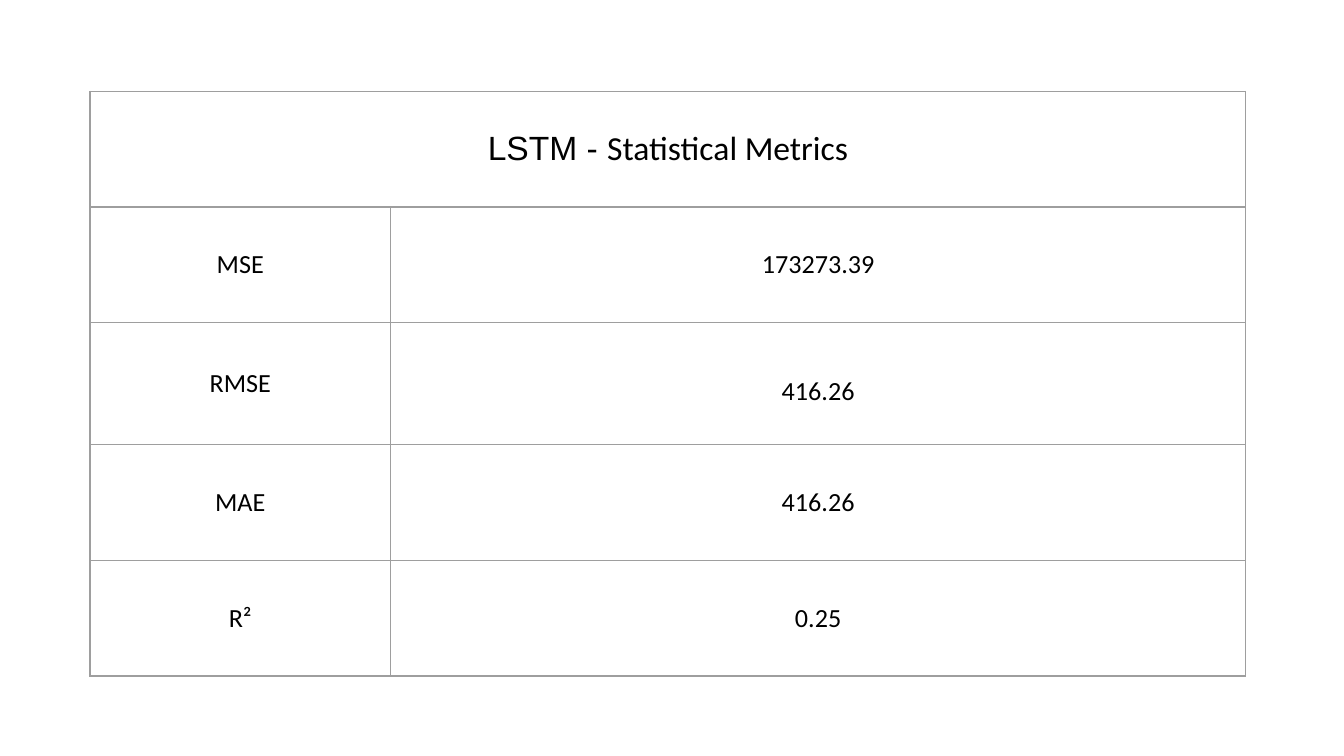
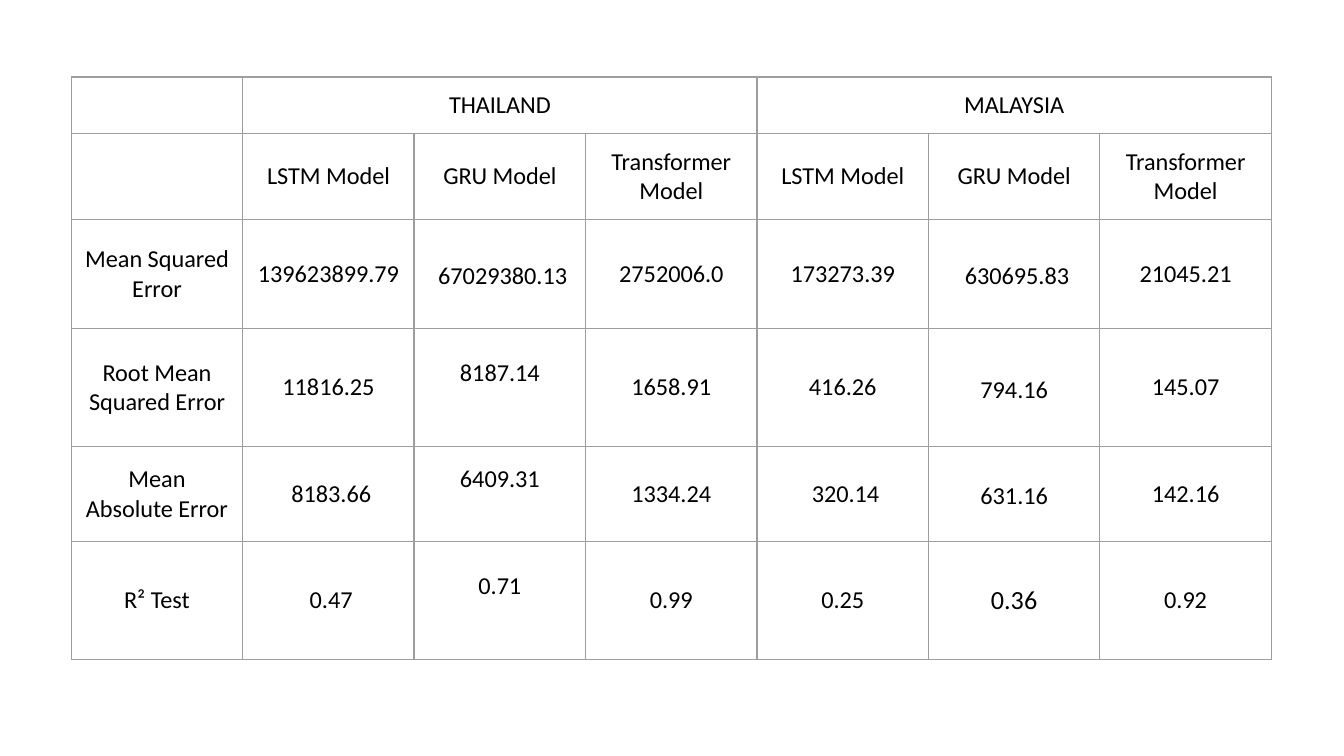
from dataclasses import dataclass

from lxml.etree import SubElement
from pptx import Presentation
from pptx.dml.color import RGBColor
from pptx.enum.text import MSO_ANCHOR as Anchor, PP_ALIGN as Align
from pptx.oxml.ns import qn
from pptx.util import Inches, Pt

COLORS = {"text": "000000", "border": "9E9E9E"}
SLIDE_WIDTH, SLIDE_HEIGHT = Inches(10), Inches(5.625)
BORDER_POINTS = 0.75
PADDING = 0.1


@dataclass(frozen=True)
class Phrase:
    """A run of text; size 0 takes the size of its table."""

    text: str
    size: float = 0
    font: str = "Calibri"


@dataclass(frozen=True)
class Entry:
    """The content and layout of one table cell."""

    phrases: tuple[Phrase, ...] = ()
    span: int = 1
    line_spacing: float | None = None
    space_after: float | None = None
    raised: float = 0


@dataclass(frozen=True)
class MetricsTable:
    """A table placed by shares of the slide, with row heights in inches."""

    left: float
    top: float
    width: float
    height: float
    column_shares: tuple[float, ...]
    row_heights: tuple[float, ...]
    size: float
    vertical_padding: float
    rows: tuple[tuple[Entry, ...], ...]


def entry(text: str, **layout) -> Entry:
    """Make an entry that holds a single phrase."""
    return Entry((Phrase(text),), **layout)


def loose(text: str, **layout) -> Entry:
    """Make an entry with slightly open line spacing."""
    return entry(text, line_spacing=1.15, **layout)


def raised(text: str) -> Entry:
    """Make an open entry that sits above the middle of its cell."""
    return loose(text, raised=0.25)


def plain_row(*texts: str) -> tuple[Entry, ...]:
    """Make a row of plain entries."""
    return tuple(entry(text) for text in texts)


def draw_borders(cell) -> None:
    """Rule all four sides of a cell."""
    properties = cell._tc.get_or_add_tcPr()
    for side in ("lnL", "lnR", "lnT", "lnB"):
        line = SubElement(properties, qn(f"a:{side}"), w=str(Pt(BORDER_POINTS)))
        fill = SubElement(line, qn("a:solidFill"))
        SubElement(fill, qn("a:srgbClr"), val=COLORS["border"])
        SubElement(line, qn("a:prstDash"), val="solid")


def write_entry(cell, content: Entry, layout: MetricsTable) -> None:
    """Write the phrases of an entry into its cell."""
    cell.vertical_anchor = Anchor.MIDDLE
    cell.margin_left = cell.margin_right = Inches(PADDING)
    cell.margin_top = Inches(layout.vertical_padding)
    cell.margin_bottom = Inches(layout.vertical_padding + content.raised)
    paragraph = cell.text_frame.paragraphs[0]
    paragraph.alignment = Align.CENTER
    if content.line_spacing is not None:
        paragraph.line_spacing = content.line_spacing
    if content.space_after is not None:
        paragraph.space_after = Pt(content.space_after)
    for phrase in content.phrases:
        run = paragraph.add_run()
        run.text = phrase.text
        run.font.name = phrase.font
        run.font.size = Pt(phrase.size or layout.size)
        run.font.color.rgb = RGBColor.from_string(COLORS["text"])


def draw_table(slide, layout: MetricsTable) -> None:
    """Draw a metrics table on a slide."""
    width = int(SLIDE_WIDTH * layout.width)
    height = int(SLIDE_HEIGHT * layout.height)
    frame = slide.shapes.add_table(
        len(layout.row_heights), len(layout.column_shares),
        int(SLIDE_WIDTH * layout.left), int(SLIDE_HEIGHT * layout.top), width, height,
    )
    table = frame.table
    table.first_row = table.horz_banding = False
    for column, share in zip(table.columns, layout.column_shares):
        column.width = int(width * share)
    for row, row_height in zip(table.rows, layout.row_heights):
        row.height = Inches(row_height)
    frame.height = height
    for cell in table.iter_cells():
        draw_borders(cell)
        cell.fill.background()
    for row_number, contents in enumerate(layout.rows):
        column_number = 0
        for content in contents:
            cell = table.cell(row_number, column_number)
            column_number += content.span
            if content.span > 1:
                cell.merge(table.cell(row_number, column_number - 1))
            if content.phrases:
                write_entry(cell, content, layout)


MODELS = plain_row("LSTM Model", "GRU Model", "Transformer Model")

LSTM_METRICS = MetricsTable(
    left=0.067, top=0.121, width=0.86, height=0.773,
    column_shares=(0.26, 0.74),
    row_heights=(0.86, 0.86, 0.91, 0.86, 0.86),
    size=14,
    vertical_padding=0.05,
    rows=(
        (Entry((Phrase("LSTM - ", 18, "Arial"), Phrase("Statistical Metrics", 18)), span=2),),
        plain_row("MSE", "173273.39"),
        (entry("RMSE"), entry("416.26", line_spacing=1.5)),
        plain_row("MAE", "416.26"),
        plain_row("R²", "0.25"),
    ),
)

COUNTRY_METRICS = MetricsTable(
    left=0.053, top=0.102, width=0.893, height=0.796,
    column_shares=(1 / 7,) * 7,
    row_heights=(0.31, 0.31, 0.81, 0.88, 0.62, 0.88),
    size=13,
    vertical_padding=PADDING,
    rows=(
        (Entry(), entry("THAILAND", span=3), entry("MALAYSIA", span=3)),
        (Entry(), *MODELS, *MODELS),
        (
            *plain_row("Mean Squared Error", "139623899.79"),
            loose(" 67029380.13", space_after=12),
            *plain_row("2752006.0", "173273.39"),
            loose(" 630695.83", space_after=12),
            entry("21045.21"),
        ),
        (
            *plain_row("Root Mean Squared Error", "11816.25"),
            raised("8187.14"),
            *plain_row("1658.91", "416.26"),
            loose("794.16"),
            entry("145.07"),
        ),
        (
            *plain_row("Mean Absolute Error", " 8183.66"),
            raised("6409.31"),
            *plain_row("1334.24", " 320.14"),
            loose("631.16"),
            entry("142.16"),
        ),
        (
            *plain_row("R² Test", " 0.47"),
            raised("0.71"),
            *plain_row("0.99", "0.25"),
            Entry((Phrase("0.36", 14),)),
            entry("0.92"),
        ),
    ),
)


def main() -> None:
    """Build and save the presentation."""
    deck = Presentation()
    deck.slide_width, deck.slide_height = SLIDE_WIDTH, SLIDE_HEIGHT
    blank = deck.slide_layouts[6]
    for layout in (LSTM_METRICS, COUNTRY_METRICS):
        draw_table(deck.slides.add_slide(blank), layout)
    deck.save("out.pptx")


if __name__ == "__main__":
    main()
